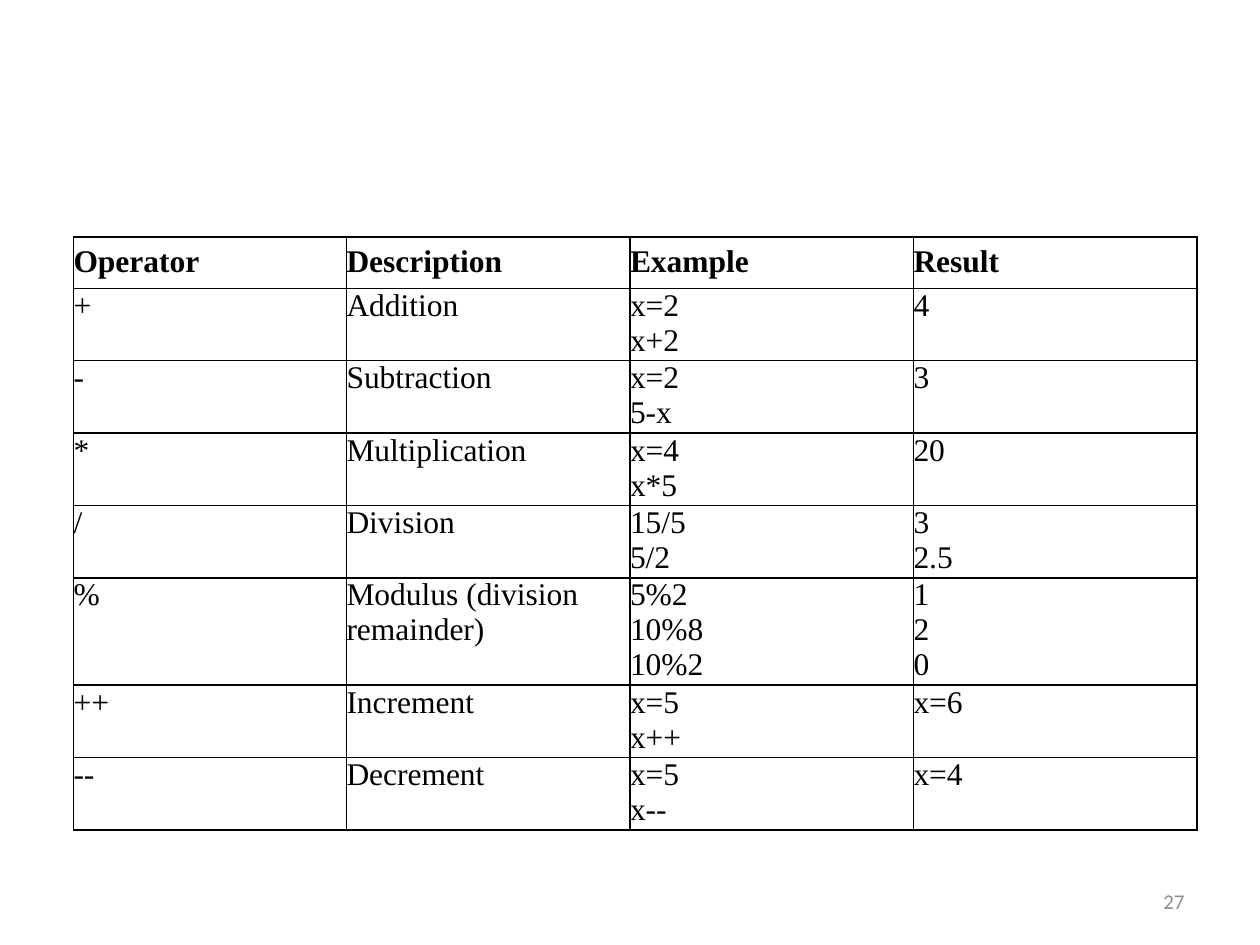
import pptx
import pptx.util
import pptx.dml.color
import pptx.enum.text
import pptx.oxml
import pptx.oxml.ns
from dataclasses import dataclass

Pt = pptx.util.Pt
Anchor = pptx.enum.text.MSO_ANCHOR
Align = pptx.enum.text.PP_ALIGN


@dataclass
class Theme:
    ink: str = "000000"
    muted: str = "8C8C8C"
    serif: str = "Times New Roman"
    sans: str = "Calibri"
    body: int = 18
    small: int = 12
    rule: int = 1


class Page:
    def __init__(self, deck, theme):
        self.theme = theme
        self.slide = deck.slides.add_slide(deck.slide_layouts[6])

    def label(self, para, text, font, size, color, bold=False):
        for i, line in enumerate(text.split("\n")):
            if i:
                para.add_line_break()
            run = para.add_run()
            run.text = line
            run.font.name = font
            run.font.size = Pt(size)
            run.font.bold = bold
            run.font.color.rgb = pptx.dml.color.RGBColor.from_string(color)

    def border(self, cell):
        props = cell._tc.get_or_add_tcPr()
        space = pptx.oxml.ns.nsdecls("a")
        for i, side in enumerate(("lnL", "lnR", "lnT", "lnB")):
            line = pptx.oxml.parse_xml(
                f'<a:{side} {space} w="{Pt(self.theme.rule)}"><a:solidFill>'
                f'<a:srgbClr val="{self.theme.ink}"/></a:solidFill></a:{side}>')
            props.insert(i, line)

    def table(self, left, top, widths, height, rows, tall):
        theme = self.theme
        frame = self.slide.shapes.add_table(
            len(rows), len(widths), Pt(left), Pt(top), Pt(sum(widths)), Pt(tall))
        grid = frame.table
        for col, width in zip(grid.columns, widths):
            col.width = Pt(width)
        for r, texts in enumerate(rows):
            grid.rows[r].height = Pt(height)
            for c, text in enumerate(texts):
                cell = grid.cell(r, c)
                cell.fill.background()
                cell.margin_left = cell.margin_right = cell.margin_top = 0
                cell.margin_bottom = Pt(1.5)
                cell.vertical_anchor = Anchor.TOP if r else Anchor.MIDDLE
                self.border(cell)
                self.label(cell.text_frame.paragraphs[0], text,
                           theme.serif, theme.body, theme.ink, r == 0)
        frame.height = Pt(tall)

    def number(self, left, top, width, height, text):
        theme = self.theme
        frame = self.slide.shapes.add_textbox(
            Pt(left), Pt(top), Pt(width), Pt(height)).text_frame
        frame.word_wrap = True
        frame.vertical_anchor = Anchor.MIDDLE
        para = frame.paragraphs[0]
        para.alignment = Align.RIGHT
        self.label(para, text, theme.sans, theme.small, theme.muted)


ROWS = [
    ("Operator", "Description", "Example", "Result"),
    ("+", "Addition", "x=2\nx+2", "4"),
    ("-", "Subtraction", "x=2\n5-x", "3"),
    ("*", "Multiplication", "x=4\nx*5", "20"),
    ("/", "Division", "15/5\n5/2", "3\n2.5"),
    ("%", "Modulus (division remainder)", "5%2\n10%8\n10%2", "1\n2\n0"),
    ("++", "Increment", "x=5\nx++", "x=6"),
    ("--", "Decrement", "x=5\nx--", "x=4"),
]

deck = pptx.Presentation()
deck.slide_width, deck.slide_height = Pt(720), Pt(540)
page = Page(deck, Theme())
page.table(42, 135.5, [156, 162, 162, 162], 29.25, ROWS, 363.6)
page.number(516, 500.5, 168, 28.75, "27")
deck.save("out.pptx")
